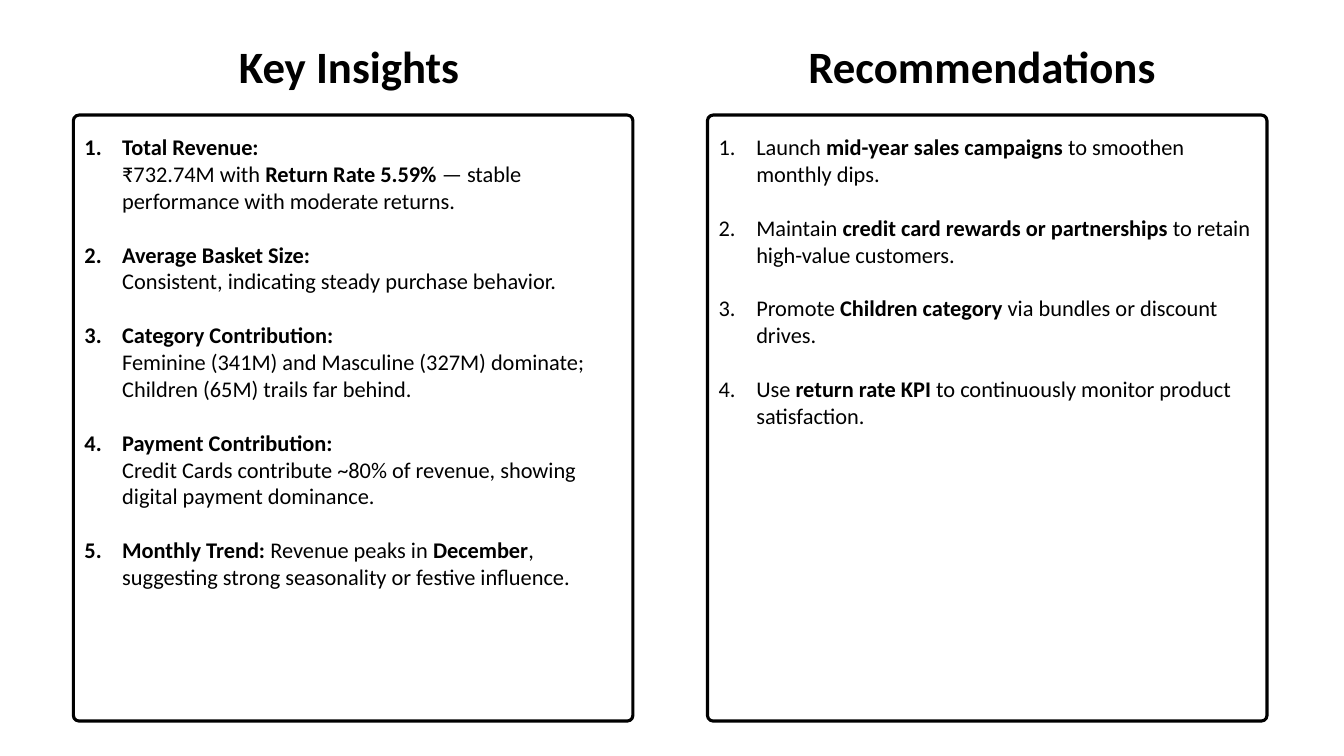
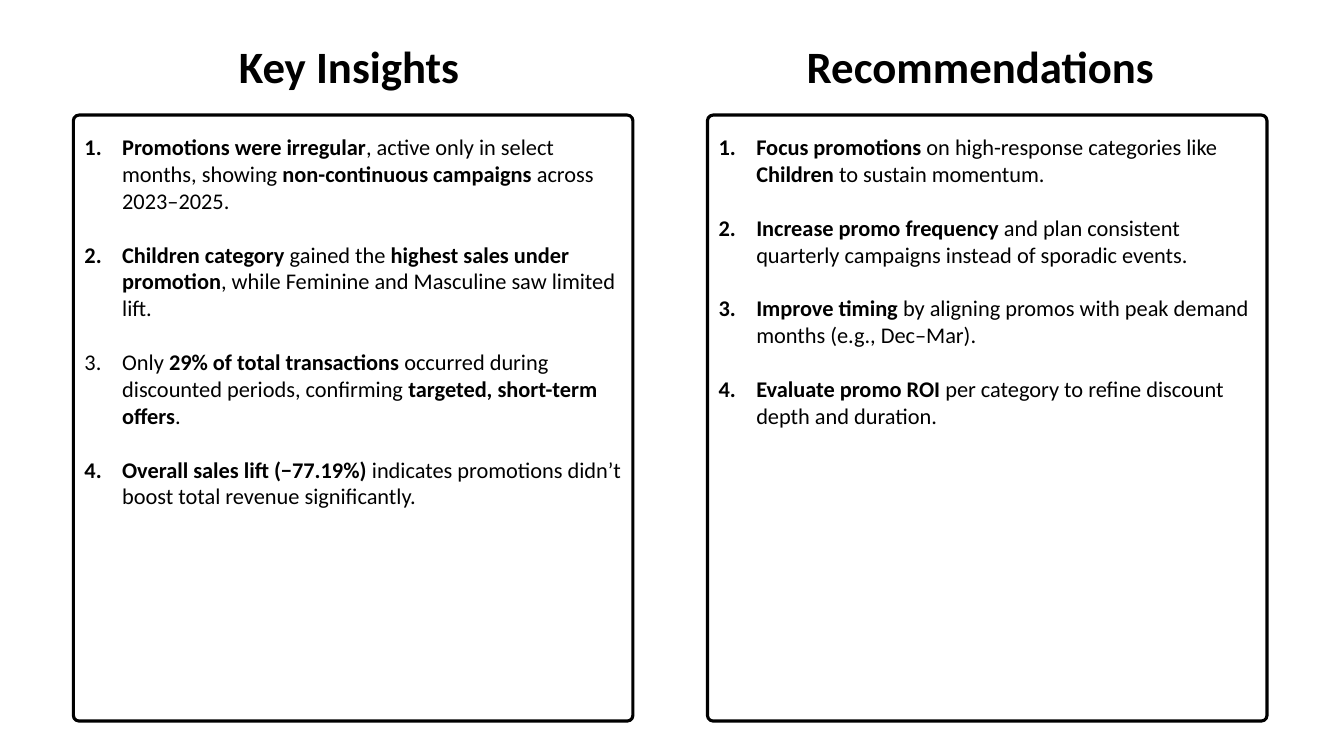
from lxml import etree
from pptx import Presentation
from pptx.dml.color import RGBColor
from pptx.enum.shapes import MSO_SHAPE
from pptx.oxml.ns import qn
from pptx.util import Cm, Pt

ROUNDED = MSO_SHAPE.ROUNDED_RECTANGLE
COLORS = {"ink": "000000", "paper": "FFFFFF"}
COLUMN_LEFTS = (1.85, 17.83)
FRAME_TOP, FRAME_WIDTH, FRAME_HEIGHT = 2.9, 14.1, 15.27
LIST_INSET, LIST_TOP, LIST_WIDTH = 0.03, 3.23, 14.07
TITLE_TOP, TITLE_HEIGHT = 0.86, 1.63

SLIDES = [
    [
        ("Key Insights", 5.77, 6.25, 11.89, [
            "**Total Revenue:**\n₹732.74M with **Return Rate 5.59%** — stable performance with moderate returns.",
            "**Average Basket Size:**\nConsistent, indicating steady purchase behavior.",
            "**Category Contribution:**\nFeminine (341M) and Masculine (327M) dominate; Children (65M) trails far behind.",
            "**Payment Contribution:**\nCredit Cards contribute ~80% of revenue, showing digital payment dominance.",
            "**Monthly Trend:** Revenue peaks in **December**, suggesting strong seasonality or festive influence.",
        ]),
        ("Recommendations", 20.12, 9.5, 7.77, [
            "Launch **mid-year sales campaigns** to smoothen monthly dips.",
            "Maintain **credit card rewards or partnerships** to retain high-value customers.",
            "Promote **Children category** via bundles or discount drives.",
            "Use **return rate KPI** to continuously monitor product satisfaction.",
        ]),
    ],
    [
        ("Key Insights", 5.77, 6.25, 9.83, [
            "**Promotions were irregular**, active only in select months, showing "
            "**non-continuous campaigns** across 2023–2025.",
            "**Children category** gained the **highest sales under promotion**, "
            "while Feminine and Masculine saw limited lift.",
            "Only **29% of total transactions** occurred during discounted periods, "
            "confirming **targeted, short-term offers**.",
            "**Overall sales lift (−77.19%)** indicates promotions didn’t boost total revenue significantly.",
        ]),
        ("Recommendations", 20.08, 9.58, 7.77, [
            "**Focus promotions** on high-response categories like **Children** to sustain momentum.",
            "**Increase promo frequency** and plan consistent quarterly campaigns instead of sporadic events.",
            "**Improve timing** by aligning promos with peak demand months (e.g., Dec–Mar).",
            "**Evaluate promo ROI** per category to refine discount depth and duration.",
        ]),
    ],
]


class Deck:
    font = "Calibri"
    title_size = 32
    body_size = 16
    item_gap = 19.25
    hanging = 0.95

    def __init__(self):
        self.presentation = Presentation()
        self.presentation.slide_width = Cm(33.87)
        self.presentation.slide_height = Cm(19.05)
        self.slide = None

    def color(self, name):
        return RGBColor.from_string(COLORS[name])

    def new_slide(self):
        self.slide = self.presentation.slides.add_slide(self.presentation.slide_layouts[6])
        background = self.slide.background.fill
        background.solid()
        background.fore_color.rgb = self.color("paper")

    def frame(self, left):
        border = self.slide.shapes.add_shape(
            ROUNDED, Cm(left), Cm(FRAME_TOP), Cm(FRAME_WIDTH), Cm(FRAME_HEIGHT))
        border.adjustments[0] = 0.01
        border.shadow.inherit = False
        border.fill.background()
        border.line.color.rgb = self.color("ink")
        border.line.width = Pt(2.25)

    def text_frame(self, left, top, width, height):
        box = self.slide.shapes.add_textbox(Cm(left), Cm(top), Cm(width), Cm(height))
        box.text_frame.word_wrap = True
        return box.text_frame

    def run(self, paragraph, text, size, bold):
        run = paragraph.add_run()
        run.text = text
        run.font.name = self.font
        run.font.size = Pt(size)
        run.font.bold = bold
        run.font.color.rgb = self.color("ink")

    def line_break(self, paragraph):
        paragraph.add_line_break()
        etree.SubElement(paragraph._p[-1], qn("a:rPr"), sz=str(self.body_size * 100))

    def title(self, text, left, width):
        heading = self.text_frame(left, TITLE_TOP, width, TITLE_HEIGHT)
        self.run(heading.paragraphs[0], text, self.title_size, True)

    def number(self, paragraph):
        properties = paragraph._p.get_or_add_pPr()
        properties.set("marL", str(Cm(self.hanging)))
        properties.set("indent", str(-Cm(self.hanging)))
        bullet_color = etree.SubElement(properties, qn("a:buClr"))
        etree.SubElement(bullet_color, qn("a:srgbClr"), val=COLORS["ink"])
        etree.SubElement(properties, qn("a:buFont"), typeface="+mj-lt")
        etree.SubElement(properties, qn("a:buAutoNum"), type="arabicPeriod")

    def numbered_list(self, items, left, height):
        body = self.text_frame(left, LIST_TOP, LIST_WIDTH, height)
        for position, item in enumerate(items):
            paragraph = body.add_paragraph() if position else body.paragraphs[0]
            self.number(paragraph)
            if position:
                paragraph.space_before = Pt(self.item_gap)
            for line_index, line in enumerate(item.split("\n")):
                if line_index:
                    self.line_break(paragraph)
                for part_index, part in enumerate(line.split("**")):
                    if part:
                        self.run(paragraph, part, self.body_size, part_index % 2 == 1)


def main():
    deck = Deck()
    for columns in SLIDES:
        deck.new_slide()
        for left, (heading, title_left, title_width, list_height, items) in zip(COLUMN_LEFTS, columns):
            deck.frame(left)
            deck.numbered_list(items, left + LIST_INSET, list_height)
            deck.title(heading, title_left, title_width)
    deck.presentation.save("out.pptx")


if __name__ == "__main__":
    main()
